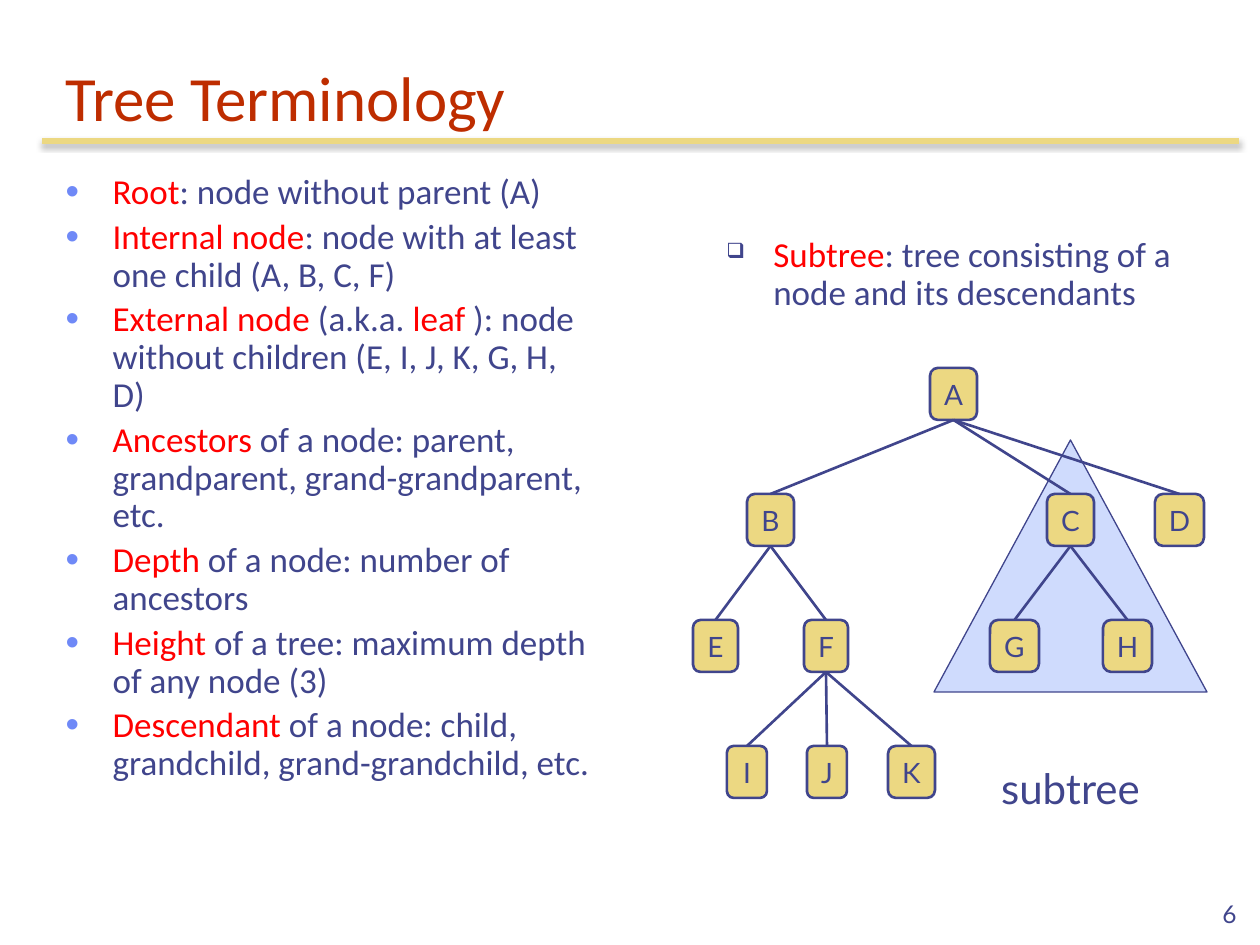
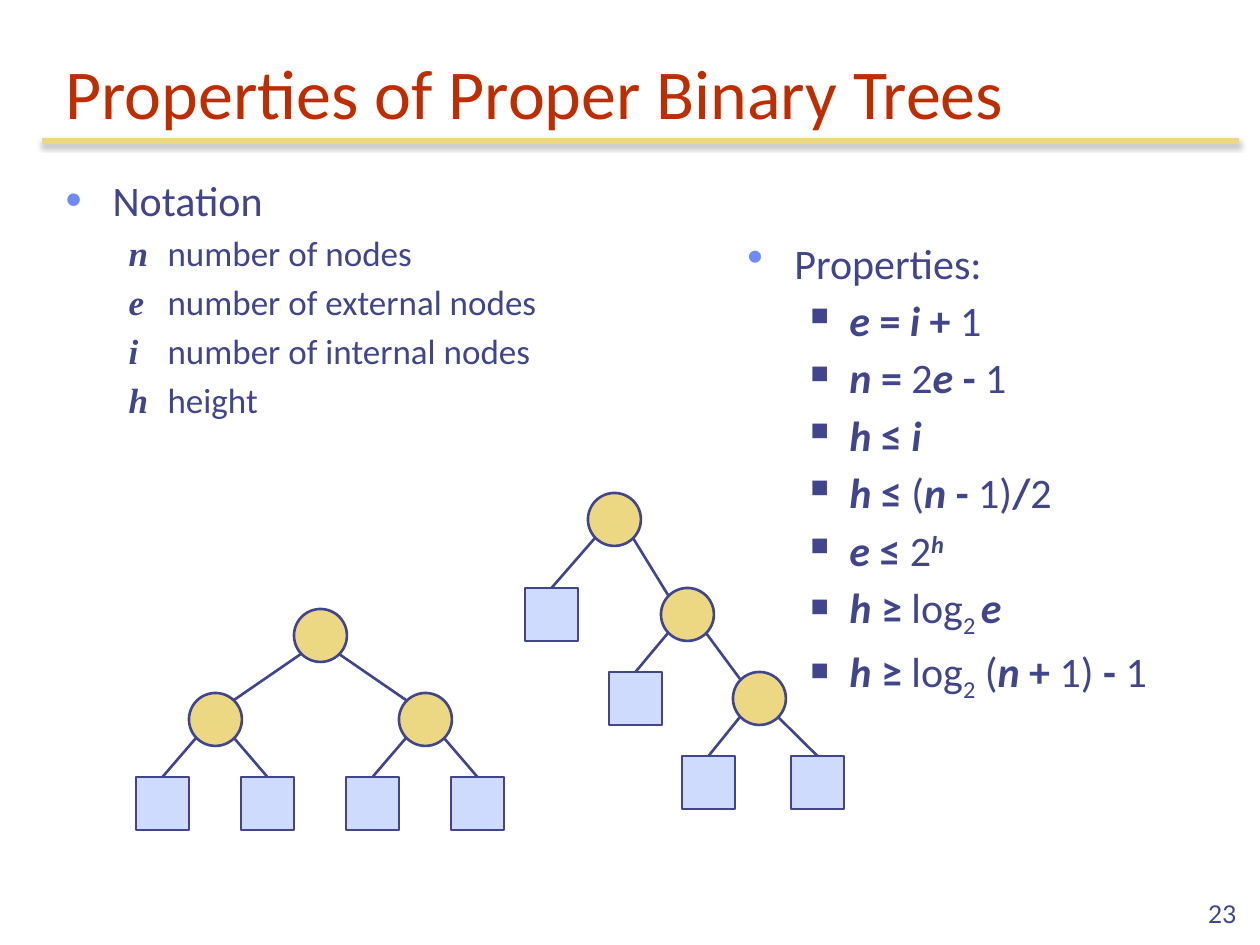
"""Build two slides on tree terminology and proper binary trees."""
from lxml import etree
from pptx import Presentation
from pptx.dml.color import RGBColor
from pptx.enum.shapes import MSO_CONNECTOR, MSO_SHAPE
from pptx.enum.text import MSO_ANCHOR, MSO_AUTO_SIZE, PP_ALIGN
from pptx.oxml.ns import qn
from pptx.util import Emu, Pt

STRAIGHT = MSO_CONNECTOR.STRAIGHT
ROUNDED, TRIANGLE = MSO_SHAPE.ROUNDED_RECTANGLE, MSO_SHAPE.ISOSCELES_TRIANGLE
CIRCLE, SQUARE = MSO_SHAPE.OVAL, MSO_SHAPE.RECTANGLE
MIDDLE, BOTTOM = MSO_ANCHOR.MIDDLE, MSO_ANCHOR.BOTTOM
LEFT, CENTER, RIGHT = PP_ALIGN.LEFT, PP_ALIGN.CENTER, PP_ALIGN.RIGHT
NO_FIT = MSO_AUTO_SIZE.NONE

INK = RGBColor(0x40, 0x45, 0x8C)
RUST = RGBColor(0xBE, 0x2D, 0x00)
RED = RGBColor(0xFF, 0x00, 0x00)
GOLD = RGBColor(0xEC, 0xD8, 0x82)
PALE_BLUE = RGBColor(0xCF, 0xDB, 0xFD)
BULLET_BLUE = RGBColor(0x6F, 0x89, 0xF7)

TEXT_FONT, LABEL_FONT, SYMBOL_FONT = "Calibri", "Lato", "Times New Roman"
PX = 914400 / 126
DOT = ("•", BULLET_BLUE, 110)
BLOCK = ("■", INK, 60)
BOX_MARK = ("❑", INK, 60)


def add_line(page, start, end, color=INK, width=1.5):
    """Draw a straight line without the theme's shadow."""
    line = page.shapes.add_connector(
        STRAIGHT, *[Emu(round(value * PX)) for value in (*start, *end)])
    line.line.color.rgb = color
    line.line.width = Pt(width)
    etree.SubElement(line._element.spPr, qn("a:effectLst"))
    return line


def write_item(frame, number, spans, size, mark, level=0, spacing=1.0):
    """Write one list item; span flags: r red, b bold, i italic, t Times, ^ super, _ sub."""
    para = frame.add_paragraph() if number else frame.paragraphs[0]
    para.level = level
    para.line_spacing = spacing
    para.space_before = Pt(4 if number else 0)
    props = para._p.get_or_add_pPr()
    left, hang = ((47, 47), (102, 39))[level]
    props.set("marL", str(round(left * PX)))
    props.set("indent", str(round(-hang * PX)))
    if mark:
        char, color, percent = mark
        tint = etree.SubElement(props, qn("a:buClr"))
        etree.SubElement(tint, qn("a:srgbClr"), val=str(color))
        etree.SubElement(props, qn("a:buSzPct"), val=str(percent * 1000))
        etree.SubElement(props, qn("a:buChar"), char=char)
    else:
        etree.SubElement(props, qn("a:buNone"))
    para.font.size = Pt(size)
    for text, flags in spans:
        span = para.add_run()
        span.text = text
        span.font.name = SYMBOL_FONT if "t" in flags else TEXT_FONT
        span.font.color.rgb = RED if "r" in flags else INK
        span.font.bold = "b" in flags
        span.font.italic = "i" in flags
        if "^" in flags or "_" in flags:
            span._r.get_or_add_rPr().set("baseline", "30000" if "^" in flags else "-25000")


deck = Presentation()
deck.slide_width, deck.slide_height = Emu(round(1260 * PX)), Emu(round(945 * PX))

pages = []
for heading, heading_size, page_number, side_box in (
        ("Tree Terminology", 36, "6", (714, 231, 483, 136)),
        ("Properties of Proper Binary Trees", 40, "23", (735, 231, 472, 504))):
    page = deck.slides.add_slide(deck.slide_layouts[1])
    band = add_line(page, (42, 141), (1239, 141), GOLD, 3)
    effects = band._element.spPr.find(qn("a:effectLst"))
    shadow = etree.SubElement(effects, qn("a:outerShdw"), blurRad="40000", dist="23000",
                              dir="5400000", rotWithShape="0")
    shade = etree.SubElement(shadow, qn("a:srgbClr"), val="000000")
    etree.SubElement(shade, qn("a:alpha"), val="35000")

    title, body = page.placeholders[0], page.placeholders[1]
    number_box = page.shapes.add_textbox(0, 0, 0, 0)
    side = page.shapes.add_textbox(0, 0, 0, 0)
    for box, place in ((title, (53, 42, 1176, 98)), (body, (53, 168, 557, 726)),
                       (number_box, (987, 872, 262, 63)), (side, side_box)):
        box.left, box.top, box.width, box.height = [Emu(round(value * PX)) for value in place]
        box.text_frame.word_wrap = True
        box.text_frame.auto_size = NO_FIT
    for box, text, align, font, size, color in (
            (title, heading, LEFT, TEXT_FONT, heading_size, RUST),
            (number_box, page_number, RIGHT, LABEL_FONT, 14, INK)):
        box.text_frame.vertical_anchor = BOTTOM
        para = box.text_frame.paragraphs[0]
        para.text = text
        para.alignment = align
        para.font.name, para.font.size = font, Pt(size)
        para.font.color.rgb = color
    pages.append((page, body.text_frame, side.text_frame))

page, terms, aside = pages[0]
definitions = (
    (("Root", "r"), (": node without parent (A)", "")),
    (("Internal node", "r"), (": node with at least one child (A, B, C, F)", "")),
    (("External node", "r"), (" (a.k.a. ", ""), ("leaf", "r"),
     (" ): node without children (E, I, J, K, G, H, D)", "")),
    (("Ancestors", "r"), (" of a node: parent, grandparent, grand-grandparent, etc.", "")),
    (("Depth", "r"), (" of a node: number of ancestors", "")),
    (("Height", "r"), (" of a tree: maximum depth of any node (3)", "")),
    (("Descendant", "r"), (" of a node: child, grandchild, grand-grandchild, etc.", "")),
)
for number, spans in enumerate(definitions):
    write_item(terms, number, spans, 20, DOT, spacing=0.9)
write_item(aside, 0, (("Subtree", "r"), (": tree consisting of a node and its descendants", "")),
           20, BOX_MARK, spacing=0.9)

subtree = page.shapes.add_shape(
    TRIANGLE, *[Emu(round(value * PX)) for value in (934, 440, 273, 252)])
subtree.shadow.inherit = False
subtree.fill.solid()
subtree.fill.fore_color.rgb = PALE_BLUE
subtree.line.color.rgb = INK
subtree.line.width = Pt(0.75)
caption = page.shapes.add_textbox(*[Emu(round(value * PX)) for value in (934, 758, 273, 60)])
caption.text_frame.word_wrap = True
labels = [(caption, "subtree", 24)]

ROW_TOP, ROW_PITCH, NODE_HEIGHT = 368, 126, 52
letter_nodes = {
    "A": (930, 0, 47, ""), "B": (747, 1, 47, "A"), "C": (1047, 1, 47, "A"),
    "D": (1155, 1, 49, "A"), "E": (693, 2, 45, "B"), "F": (804, 2, 44, "B"),
    "G": (990, 2, 49, "C"), "H": (1103, 2, 49, "C"), "I": (727, 3, 40, "F"),
    "J": (807, 3, 40, "F"), "K": (888, 3, 47, "F"),
}
drawn = {}
for letter, (left, row, width, parent) in letter_nodes.items():
    place = (left, ROW_TOP + row * ROW_PITCH, width, NODE_HEIGHT)
    node = page.shapes.add_shape(ROUNDED, *[Emu(round(value * PX)) for value in place])
    node.shadow.inherit = False
    node.fill.solid()
    node.fill.fore_color.rgb = GOLD
    node.line.color.rgb = INK
    node.line.width = Pt(1.5)
    frame = node.text_frame
    frame.margin_left = frame.margin_right = frame.margin_top = frame.margin_bottom = 0
    frame.word_wrap = False
    drawn[letter] = node
    labels.append((node, letter, 16))
    if parent:
        edge = add_line(page, (0, 0), (0, 0))
        edge.begin_connect(drawn[parent], 2)
        edge.end_connect(node, 0)

for box, text, size in labels:
    box.text_frame.vertical_anchor = MIDDLE
    para = box.text_frame.paragraphs[0]
    para.text = text
    para.alignment = CENTER
    para.font.name, para.font.size = LABEL_FONT, Pt(size)
    para.font.color.rgb = INK

page, notation, properties = pages[1]
write_item(notation, 0, (("Notation", ""),), 24, DOT)
for number, (symbol, meaning) in enumerate((
        ("n", "number of nodes"), ("e", "number of external nodes"),
        ("i", "number of internal nodes"), ("h", "height")), 1):
    write_item(notation, number, ((symbol + "\t", "bit"), (meaning, "")), 20, None, 1)

formulas = (
    (("e ", "bi"), ("= ", "b"), ("i ", "bi"), ("+ ", "b"), ("1", "")),
    (("n ", "bi"), ("= ", "b"), ("2", ""), ("e ", "bi"), ("- ", "b"), ("1", "")),
    (("h ", "bi"), ("≤ ", "b"), ("i", "bi")),
    (("h ", "bi"), ("≤ ", "b"), ("(", ""), ("n ", "bi"), ("- ", "b"), ("1)", ""),
     ("/", "b"), ("2", "")),
    (("e ", "bi"), ("≤ ", "b"), ("2", ""), ("h", "bi^")),
    (("h ", "bi"), ("≥ ", "b"), ("log", ""), ("2 ", "_"), ("e", "bi")),
    (("h ", "bi"), ("≥ ", "b"), ("log", ""), ("2", "_"), (" (", ""), ("n ", "bi"),
     ("+ ", "b"), ("1) ", ""), ("- ", "b"), ("1", "")),
)
write_item(properties, 0, (("Properties:", ""),), 24, DOT)
for number, spans in enumerate(formulas, 1):
    write_item(properties, number, spans, 24, BLOCK, 1)

NODE_SIZE, RIM = 53, 19
balanced_tree = [(CIRCLE, 294, 609, None), (CIRCLE, 189, 693, 0), (CIRCLE, 399, 693, 0)]
balanced_tree += [(SQUARE, 136 + 105 * leaf, 777, 1 + leaf // 2) for leaf in range(4)]
leaning_tree = [
    (CIRCLE, 588, 493, None), (SQUARE, 525, 588, 0), (CIRCLE, 661, 588, 0),
    (SQUARE, 609, 672, 2), (CIRCLE, 733, 672, 2), (SQUARE, 682, 756, 4), (SQUARE, 791, 756, 4),
]
for tree in (balanced_tree, leaning_tree):
    for kind, left, top, parent in tree:
        node = page.shapes.add_shape(
            kind, *[Emu(round(value * PX)) for value in (left, top, NODE_SIZE, NODE_SIZE)])
        node.shadow.inherit = False
        node.fill.solid()
        node.fill.fore_color.rgb = GOLD if kind == CIRCLE else PALE_BLUE
        node.line.color.rgb = INK
        node.line.width = Pt(1.5)
        if parent is None:
            continue
        parent_left, parent_top = tree[parent][1:3]
        reach = RIM if left > parent_left else -RIM
        half = NODE_SIZE // 2
        edge = add_line(page, (parent_left + half + reach, parent_top + half + RIM),
                        (left + half - reach, top + half - RIM))
        if kind == SQUARE:
            edge.end_connect(node, 0)

deck.save("out.pptx")
